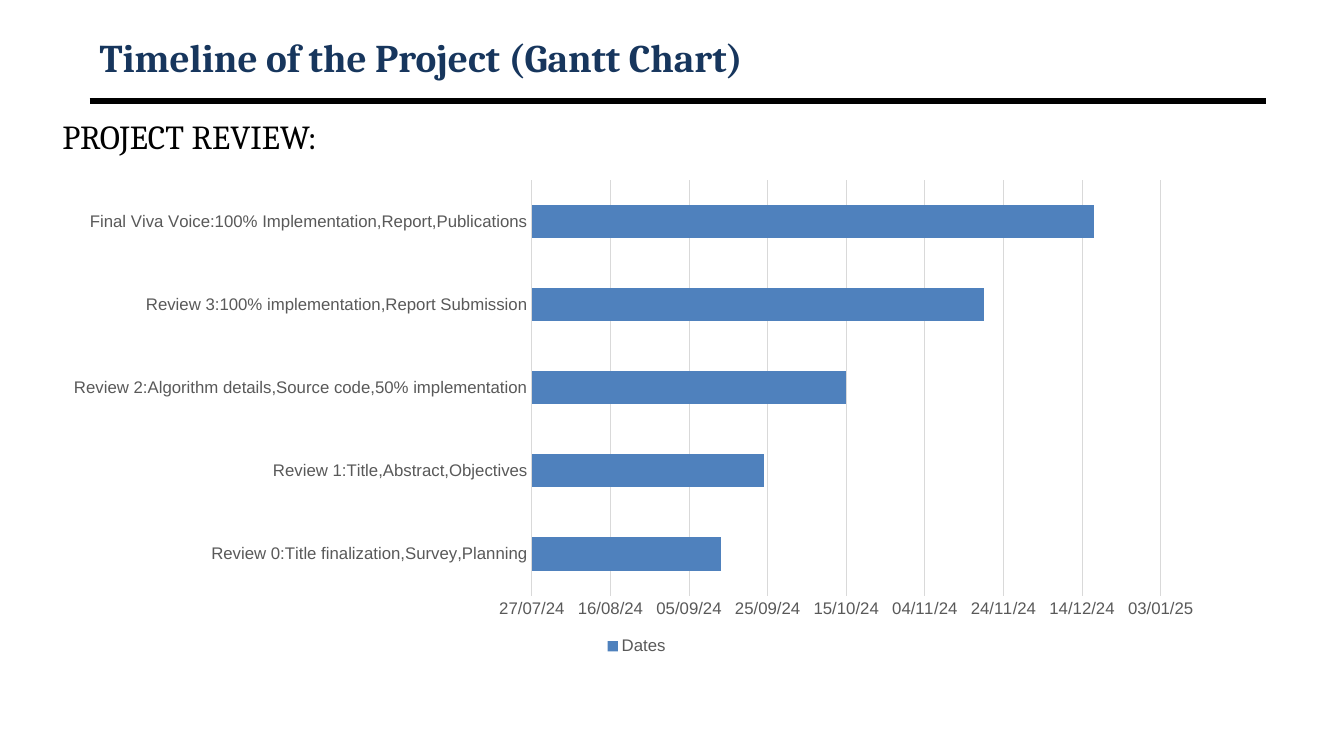
import lxml.etree
import pptx
import pptx.chart.data
import pptx.dml.color
import pptx.enum.chart
import pptx.enum.shapes
import pptx.enum.text
import pptx.oxml
import pptx.oxml.ns
import pptx.util

PX = 9144
FIRST_DAY, LAST_DAY, DAY_STEP = 45500, 45660, 20
REVIEWS = [
    ("Review 0:Title finalization,Survey,Planning", 45548),
    ("Review 1:Title,Abstract,Objectives", 45559),
    ("Review 2:Algorithm details,Source code,50% implementation", 45580),
    ("Review 3:100% implementation,Report Submission", 45615),
    ("Final Viva Voice:100% Implementation,Report,Publications", 45643),
]


def color(value):
    """Turn a hex string into a colour."""
    return pptx.dml.color.RGBColor.from_string(value)


def lengths(*values):
    """Turn px into EMU."""
    return [value * PX for value in values]


def style_font(font, name, size, shade, bold=False):
    """Set the look of a font."""
    font.name = name
    font.size = pptx.util.Pt(size)
    font.bold = bold
    font.color.rgb = color(shade)


def add_text(page, box, text, size, shade, bold=False):
    """Add one line of text and return its frame."""
    frame = page.shapes.add_textbox(*lengths(*box)).text_frame
    frame.word_wrap = True
    span = frame.paragraphs[0].add_run()
    span.text = text
    style_font(span.font, "Cambria", size, shade, bold)
    return frame


def add_header(page, box):
    """Add the title with the rule below it."""
    left, top, width, height = box
    frame = add_text(page, (left, top, width, 53),
                     "Timeline of the Project (Gantt Chart)", 28, "17365D", True)
    frame.vertical_anchor = pptx.enum.text.MSO_ANCHOR.MIDDLE
    bottom = top + height
    rule = page.shapes.add_connector(
        pptx.enum.shapes.MSO_CONNECTOR.STRAIGHT,
        *lengths(left, bottom, left + width, bottom))
    rule.line.color.rgb = color("000000")
    rule.line.width = pptx.util.Pt(4.5)
    lxml.etree.SubElement(rule._element.spPr, pptx.oxml.ns.qn("a:effectLst"))


def add_heading(page, box):
    """Add the heading with its hanging indent."""
    para = add_text(page, box, "PROJECT REVIEW:", 24, "000000").paragraphs[0]
    para.alignment = pptx.enum.text.PP_ALIGN.JUSTIFY
    indents = para._p.get_or_add_pPr()
    indents.set("marL", str(38 * PX))
    indents.set("indent", str(-21 * PX))


def place_plot(chart, **shares):
    """Fix the inner plot area as shares of the chart."""
    area = chart._chartSpace.chart.plotArea
    for old in area.findall(pptx.oxml.ns.qn("c:layout")):
        area.remove(old)
    modes = '<c:xMode val="edge"/><c:yMode val="edge"/>'
    sizes = "".join(f'<c:{key} val="{share}"/>' for key, share in shares.items())
    area.insert(0, pptx.oxml.parse_xml(
        f'<c:layout {pptx.oxml.ns.nsdecls("c")}><c:manualLayout>'
        f'<c:layoutTarget val="inner"/>{modes}{sizes}'
        '</c:manualLayout></c:layout>'))


def add_gantt(page, box):
    """Add the bar chart of review dates."""
    enums = pptx.enum.chart
    data = pptx.chart.data.CategoryChartData(number_format="dd/mm/yy")
    data.categories = [name for name, day in REVIEWS]
    data.add_series("Dates", [day for name, day in REVIEWS])
    chart = page.shapes.add_chart(
        enums.XL_CHART_TYPE.BAR_STACKED, *lengths(*box), data).chart
    chart.has_title = False
    style_font(chart.font, "Arial", 10, "000000")
    plot = chart.plots[0]
    plot.gap_width, plot.overlap = 150, 100
    plot.vary_by_categories = False
    fill = plot.series[0].format.fill
    fill.solid()
    fill.fore_color.rgb = color("4F81BD")

    names, dates = chart.category_axis, chart.value_axis
    for axis in (names, dates):
        style_font(axis.tick_labels.font, "Arial", 12, "595959")
        axis.major_tick_mark = enums.XL_TICK_MARK.NONE
        axis.minor_tick_mark = enums.XL_TICK_MARK.NONE
    dates.minimum_scale, dates.maximum_scale = FIRST_DAY, LAST_DAY
    dates.major_unit = DAY_STEP
    dates.tick_labels.number_format = "dd/mm/yy"
    dates.tick_labels.number_format_is_linked = False
    dates.format.line.fill.background()
    for line in (names.format.line, dates.major_gridlines.format.line):
        line.color.rgb = color("D9D9D9")
        line.width = pptx.util.Pt(0.75)

    chart.has_legend = True
    chart.legend.position = enums.XL_LEGEND_POSITION.BOTTOM
    chart.legend.include_in_layout = False
    style_font(chart.legend.font, "Arial", 12, "595959")
    place_plot(chart, x=0.41, y=0.02, w=0.54, h=0.85)


def main():
    """Build the slide and save it."""
    deck = pptx.Presentation()
    deck.slide_width, deck.slide_height = lengths(1333, 750)
    page = deck.slides.add_slide(deck.slide_layouts[6])
    add_header(page, (89, 30, 1167, 70))
    add_heading(page, (35, 110, 1220, 50))
    add_gantt(page, (54, 169, 1155, 485))
    deck.save("out.pptx")


if __name__ == "__main__":
    main()
